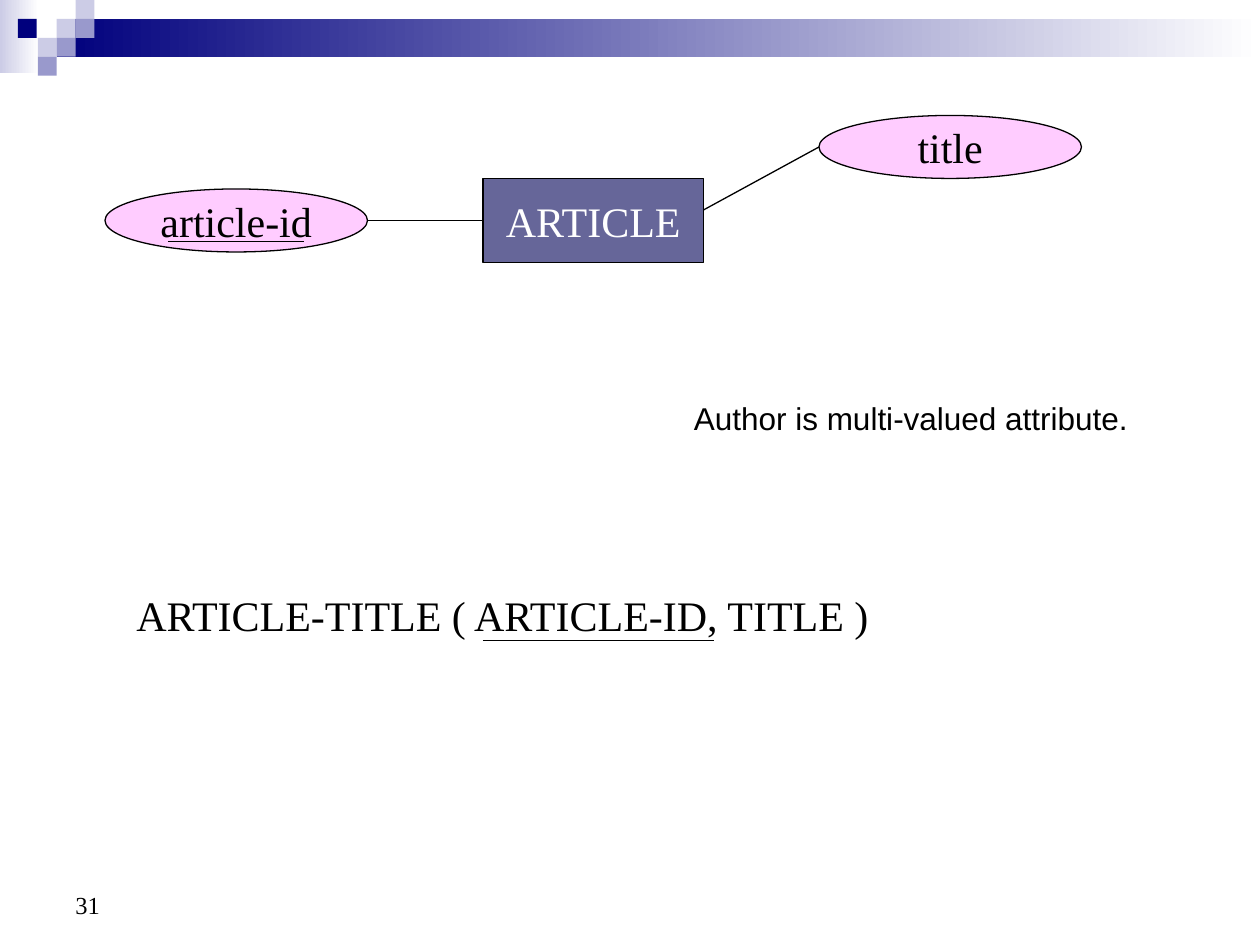
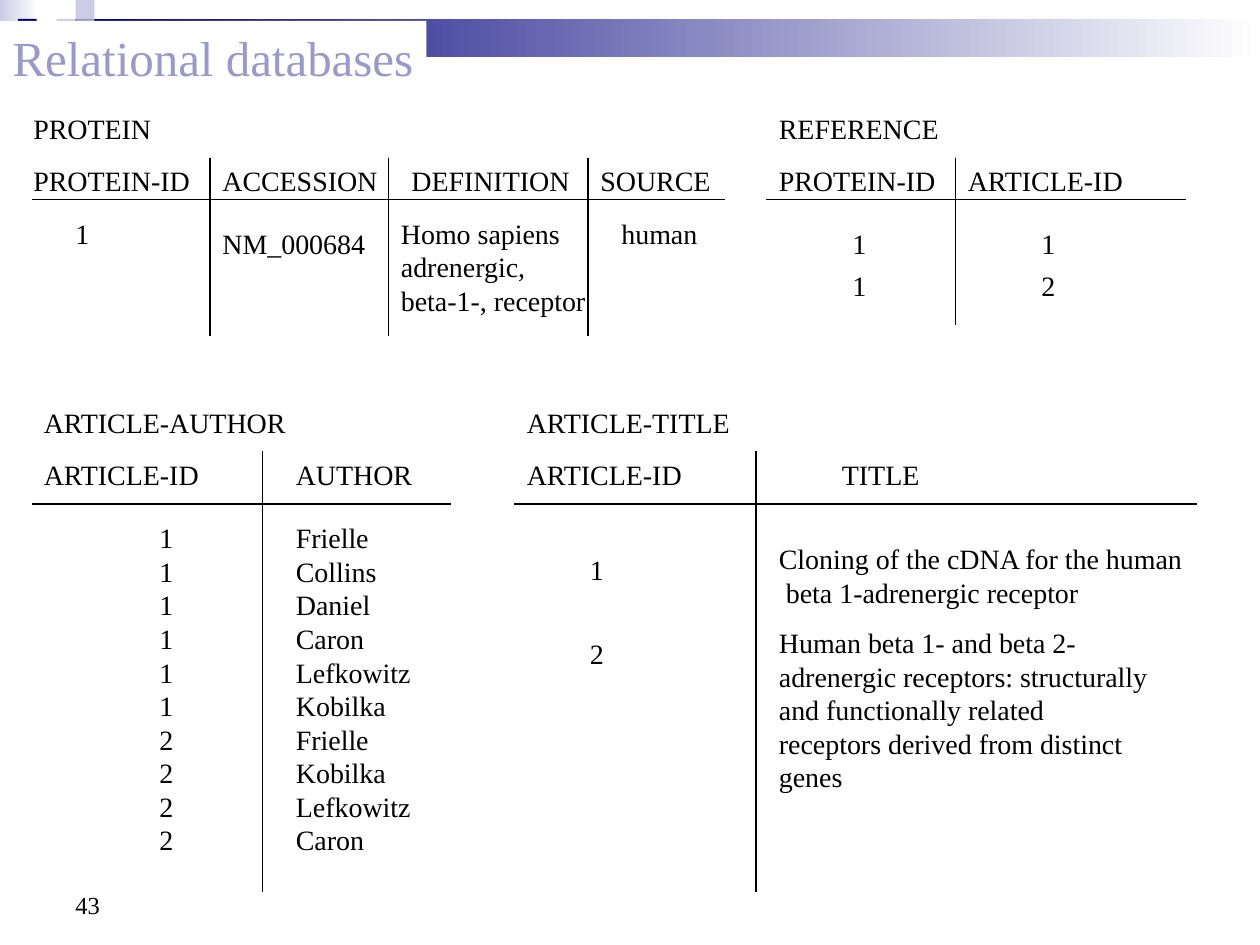
from lxml import etree
from pptx import Presentation
from pptx.dml.color import RGBColor
from pptx.enum.shapes import MSO_CONNECTOR, MSO_SHAPE
from pptx.enum.text import MSO_ANCHOR as Anchor, MSO_AUTO_SIZE as AutoSize, PP_ALIGN as Align
from pptx.oxml.ns import qn
from pptx.util import Pt

PX = 7620  # 120 px to the inch
SERIF, SANS = "Times New Roman", "Arial"
BLACK, WHITE = "000000", "FFFFFF"
NAVY, LILAC, PALE = "00007D", "9999CC", "CCCCE6"
PINK, SLATE = "FFCCFF", "666699"

# Corner decoration: gradients fade to white, tiles are TILE px squares
TILE = 18
FADES = [((0, 0, 37, 70), PALE), ((54, 18, 1146, 36), NAVY)]
TILES = [(54, 18, PALE), (72, 0, PALE), (72, 18, LILAC), (17, 18, NAVY)]
LOWER_TILES = [(36, 36, PALE), (54, 36, LILAC), (36, 54, LILAC)]
NUMBER_BOX = (60, 820, 280, 62)

# Entity diagram: text, box, shape, fill, text colour
ENTITIES = [
    ("article-id", (100, 180, 250, 60), MSO_SHAPE.OVAL, PINK, BLACK),
    ("title", (780, 110, 250, 60), MSO_SHAPE.OVAL, PINK, BLACK),
    ("ARTICLE", (460, 170, 210, 80), MSO_SHAPE.RECTANGLE, SLATE, WHITE),
]
LINKS = [(670, 200, 780, 140), (460, 210, 350, 210)]
KEY_UNDERLINES = [(160, 230, 290, 230), (460, 610, 680, 610)]
SCHEMA = ("ARTICLE-TITLE ( ARTICLE-ID, TITLE )", (118, 556, 730, 60))
REMARK = ("Author is multi-valued attribute.", (649, 374, 437, 48))

TITLE = "Relational databases"
TITLE_BOX = (0, 20, 406, 68)

# Relations: headers are (text, x, width); cells are (lines, x, y, width, wraps)
HEADER_DROP, LINE_HEIGHT, MARGINS = 50, 32, 12
DIGIT = 37
RELATIONS = [
    dict(
        name=("PROTEIN", 20, 136), top=100, rule=(30, 690, 190),
        dividers=[200, 370, 560], bottom=320,
        headers=[("PROTEIN-ID", 20, 173), ("ACCESSION", 200, 172),
                 ("DEFINITION", 380, 174), ("SOURCE", 560, 128)],
        cells=[(["1"], 60, 200, DIGIT, False),
               (["NM_000684"], 200, 210, 160, False),
               (["Homo sapiens adrenergic,", "beta-1-, receptor"], 370, 200, 205, True),
               (["human"], 580, 200, 97, False)],
    ),
    dict(
        name=("REFERENCE", 730, 176), top=100, rule=(730, 1130, 190),
        dividers=[910], bottom=310,
        headers=[("PROTEIN-ID", 730, 173), ("ARTICLE-ID", 910, 173)],
        cells=[(["1"], 800, 210, DIGIT, False), (["1"], 980, 210, DIGIT, False),
               (["1"], 800, 250, DIGIT, False), (["2"], 980, 250, DIGIT, False)],
    ),
    dict(
        name=("ARTICLE-AUTHOR", 30, 255), top=380, rule=(30, 430, 480),
        dividers=[250], bottom=850,
        headers=[("ARTICLE-ID", 30, 173), ("AUTHOR", 270, 134)],
        cells=[(["1"] * 6 + ["2"] * 4, 140, 490, DIGIT, False),
               (["Frielle", "Collins", "Daniel", "Caron", "Lefkowitz", "Kobilka",
                 "Frielle", "Kobilka", "Lefkowitz", "Caron"], 270, 490, 133, False)],
    ),
    dict(
        name=("ARTICLE-TITLE", 490, 218), top=380, rule=(490, 1140, 480),
        dividers=[720], bottom=850,
        headers=[("ARTICLE-ID", 490, 173), ("TITLE", 790, 97)],
        cells=[(["1"], 550, 520, DIGIT, False),
               (["Cloning of the cDNA for the human", " beta 1-adrenergic receptor"],
                730, 510, 416, False),
               (["2"], 550, 600, DIGIT, False),
               (["Human beta 1- and beta 2-adrenergic receptors: structurally "
                 "and functionally related receptors derived from distinct", "genes"],
                730, 590, 380, True)],
    ),
]


def px(*lengths):
    return [length * PX for length in lengths]


def rgb(code):
    return RGBColor.from_string(code)


def write(frame, lines, size, color=BLACK, font=SERIF, align=Align.LEFT,
          anchor=Anchor.TOP, wrap=False):
    frame.word_wrap = wrap
    frame.auto_size = AutoSize.NONE
    frame.vertical_anchor = anchor
    for index, line in enumerate(lines):
        paragraph = frame.add_paragraph() if index else frame.paragraphs[0]
        paragraph.alignment = align
        run = paragraph.add_run()
        run.text = line
        run.font.size, run.font.name = Pt(size), font
        run.font.color.rgb = rgb(color)


def add_text(slide, lines, box, size, **style):
    write(slide.shapes.add_textbox(*px(*box)).text_frame, lines, size, **style)


def add_block(slide, kind, box, fill, outline=None, fade=False):
    """Add a preset shape, solid or fading to white from left to right."""
    block = slide.shapes.add_shape(kind, *px(*box))
    block.shadow.inherit = False
    if fade:
        block.fill.gradient()
        block.fill.gradient_angle = 0
        for stop, color, position in zip(block.fill.gradient_stops, (fill, WHITE), (0, 1)):
            stop.color.rgb, stop.position = rgb(color), position
    else:
        block.fill.solid()
        block.fill.fore_color.rgb = rgb(fill)
    if outline:
        block.line.color.rgb = rgb(outline)
        block.line.width = Pt(0.75)
    else:
        block.line.fill.background()
    return block


def add_line(slide, *ends):
    line = slide.shapes.add_connector(MSO_CONNECTOR.STRAIGHT, *px(*ends))
    line.line.color.rgb = rgb(BLACK)
    line.line.width = Pt(0.75)
    etree.SubElement(line.element.spPr, qn("a:effectLst"))


def add_page(deck, layout, number, tiles):
    """Add a slide with the corner decoration and its number."""
    slide = deck.slides.add_slide(deck.slide_layouts[layout])
    for box, color in FADES:
        add_block(slide, MSO_SHAPE.RECTANGLE, box, color, fade=True)
    for x, y, color in tiles:
        add_block(slide, MSO_SHAPE.RECTANGLE, (x, y, TILE, TILE), color)
    add_text(slide, [number], NUMBER_BOX, 14, anchor=Anchor.BOTTOM, wrap=True)
    return slide


def add_relation(slide, relation):
    top, bottom = relation["top"], relation["bottom"]
    header_top = top + HEADER_DROP
    labels = [([text], x, header_top, width, False) for text, x, width in relation["headers"]]
    name, name_x, name_width = relation["name"]
    labels.append(([name], name_x, top, name_width, False))
    for lines, x, y, width, wrap in labels + relation["cells"]:
        height = len(lines) * LINE_HEIGHT + MARGINS
        add_text(slide, lines, (x, y, width, height), 16, wrap=wrap)
    left, right, rule_y = relation["rule"]
    add_line(slide, left, rule_y, right, rule_y)
    for x in relation["dividers"]:
        add_line(slide, x, header_top, x, bottom)


def build_diagram(deck):
    slide = add_page(deck, 6, "31", TILES + LOWER_TILES)
    for text, box, kind, fill, color in ENTITIES:
        entity = add_block(slide, kind, box, fill, outline=BLACK)
        write(entity.text_frame, [text], 24, color, align=Align.CENTER, anchor=Anchor.MIDDLE)
    for ends in LINKS + KEY_UNDERLINES:
        add_line(slide, *ends)
    schema, schema_box = SCHEMA
    add_text(slide, [schema], schema_box, 24)
    remark, remark_box = REMARK
    add_text(slide, [remark], remark_box, 18, font=SANS)


def build_relations(deck):
    slide = add_page(deck, 5, "43", TILES)
    for relation in RELATIONS:
        add_relation(slide, relation)
    title = slide.shapes.title
    title.left, title.top, title.width, title.height = px(*TITLE_BOX)
    title.fill.solid()
    title.fill.fore_color.rgb = rgb(WHITE)
    write(title.text_frame, [TITLE], 28, LILAC)
    title.element.getparent().append(title.element)  # in front of the band


def main():
    deck = Presentation()
    deck.slide_width, deck.slide_height = px(1200, 900)
    build_diagram(deck)
    build_relations(deck)
    deck.save("out.pptx")


if __name__ == "__main__":
    main()
